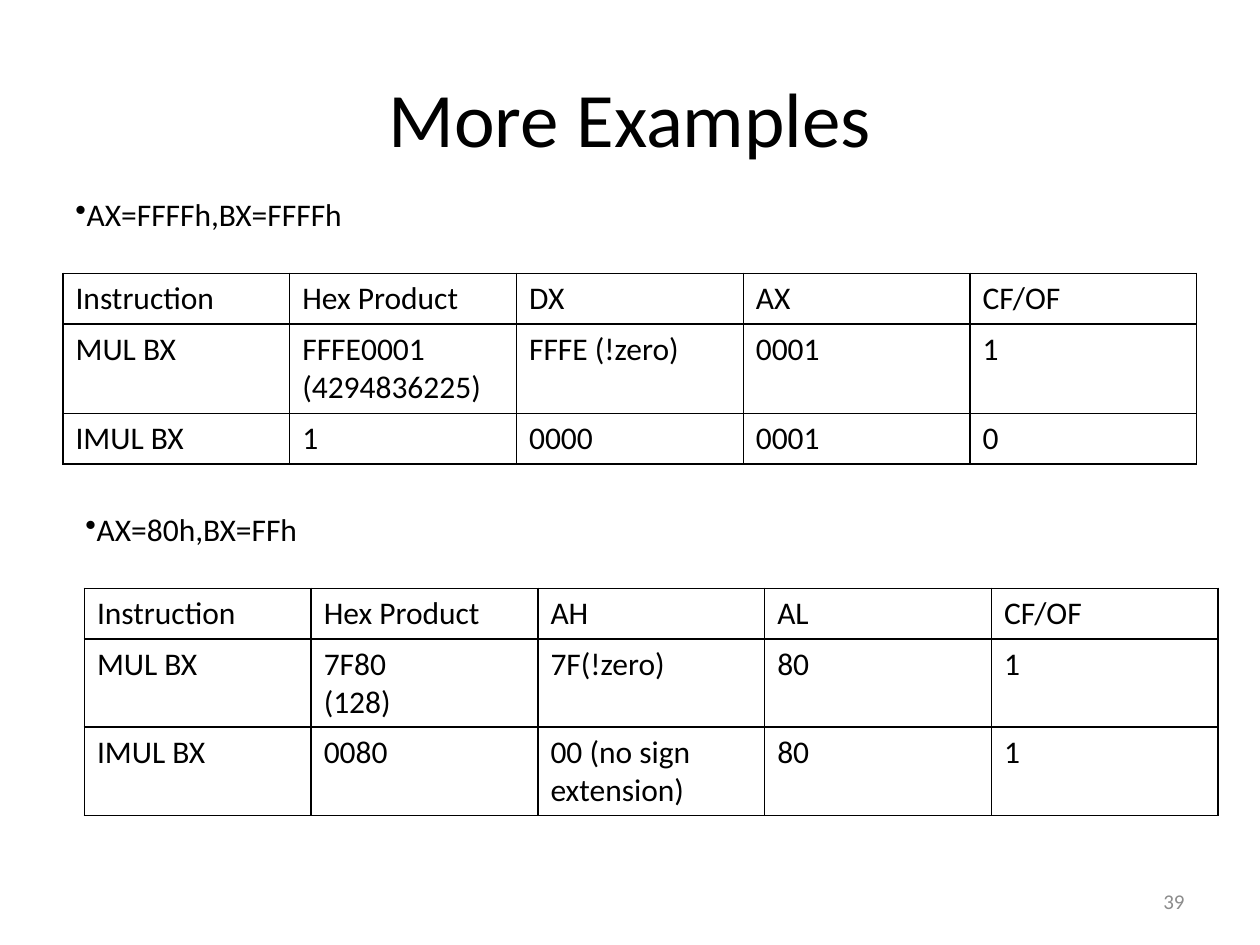
import pptx
import pptx.dml.color
import pptx.enum.text
import pptx.oxml
import pptx.oxml.ns
import pptx.util

COLORS = {"text": "000000", "border": "000000", "number": "8C8C8C"}
WIDTH, HEIGHT = 10, 7.5
MARGIN = 0.05 * WIDTH
COLUMN = 0.18 * WIDTH
LINE = 0.4
ALIGN = pptx.enum.text.PP_ALIGN
ANCHOR = pptx.enum.text.MSO_ANCHOR

BODY = {"name": "Calibri", "size": pptx.util.Pt(18)}
TITLE = {**BODY, "size": pptx.util.Pt(44)}
NUMBER = {**BODY, "size": pptx.util.Pt(12)}

UNSIGNED_ROWS = [
    ["Instruction", "Hex Product", "DX", "AX", "CF/OF"],
    ["MUL BX", "FFFE0001\n(4294836225)", "FFFE (!zero)", "0001", "1"],
    ["IMUL BX", "1", "0000", "0001", "0"],
]
BYTE_ROWS = [
    ["Instruction", "Hex Product", "AH", "AL", "CF/OF"],
    ["MUL BX", "7F80\n(128)", "7F(!zero)", "80", "1"],
    ["IMUL BX", "0080", "00 (no sign extension)", "80", "1"],
]


def format_text(text_frame, font_format, color="text", align=ALIGN.LEFT):
    """Apply font values, colour and alignment to every paragraph."""
    for paragraph in text_frame.paragraphs:
        paragraph.alignment = align
        for run in paragraph.runs:
            for attribute, value in font_format.items():
                setattr(run.font, attribute, value)
            run.font.color.rgb = pptx.dml.color.RGBColor.from_string(COLORS[color])


def add_text(slide, text, box, font_format, color="text", align=ALIGN.LEFT, anchor=ANCHOR.TOP):
    """Add a wrapping text box; box is left, top, width, height in inches."""
    shape = slide.shapes.add_textbox(*map(pptx.util.Inches, box))
    text_frame = shape.text_frame
    text_frame.word_wrap = True
    text_frame.vertical_anchor = anchor
    text_frame.text = text
    format_text(text_frame, font_format, color, align)
    return shape


def add_bullet(slide, text, left, top):
    """Add a one-line bulleted text."""
    shape = add_text(slide, text, (left, top, 2.42, LINE), BODY)
    properties = shape.text_frame.paragraphs[0]._p.get_or_add_pPr()
    bullet = pptx.oxml.parse_xml(
        f'<a:buChar {pptx.oxml.ns.nsdecls("a")} char="\u2022"/>')
    properties.append(bullet)


def add_borders(cell):
    """Draw a 1 pt line on all four sides of a cell."""
    properties = cell._tc.get_or_add_tcPr()
    for side in "LRTB":
        properties.append(pptx.oxml.parse_xml(
            f'<a:ln{side} {pptx.oxml.ns.nsdecls("a")} w="{pptx.util.Pt(1)}">'
            f'<a:solidFill><a:srgbClr val="{COLORS["border"]}"/></a:solidFill>'
            f'</a:ln{side}>'))


def add_grid(slide, rows, left, top, heights):
    """Add a plain ruled table with equal columns."""
    count = len(rows[0])
    box = (left, top, count * COLUMN, sum(heights))
    table = slide.shapes.add_table(len(rows), count, *map(pptx.util.Inches, box)).table
    for attribute in ("first_row", "horz_banding"):
        setattr(table, attribute, False)
    for column in table.columns:
        column.width = pptx.util.Inches(COLUMN)
    for row, height, texts in zip(table.rows, heights, rows):
        row.height = pptx.util.Inches(height)
        for cell, text in zip(row.cells, texts):
            cell.text = text
            format_text(cell.text_frame, BODY)
            add_borders(cell)
            cell.fill.background()


def main():
    """Build the slide and save it."""
    presentation = pptx.Presentation()
    presentation.slide_width = pptx.util.Inches(WIDTH)
    presentation.slide_height = pptx.util.Inches(HEIGHT)
    slide = presentation.slides.add_slide(presentation.slide_layouts[6])

    add_text(slide, "More Examples", (MARGIN, 0.04 * HEIGHT, WIDTH - 2 * MARGIN, HEIGHT / 6),
             TITLE, align=ALIGN.CENTER, anchor=ANCHOR.MIDDLE)
    add_bullet(slide, "AX=FFFFh,BX=FFFFh", MARGIN, 1.5)
    add_grid(slide, UNSIGNED_ROWS, MARGIN, 2.17, (LINE, 0.71, LINE))
    add_bullet(slide, "AX=80h,BX=FFh", 0.58, 4)
    add_grid(slide, BYTE_ROWS, 0.67, 4.67, (LINE, 0.7, 0.7))
    number_width = 2.33
    add_text(slide, "39", (WIDTH - MARGIN - number_width, 6.95, number_width, LINE),
             NUMBER, "number", ALIGN.RIGHT, ANCHOR.MIDDLE)

    presentation.save("out.pptx")


main()
